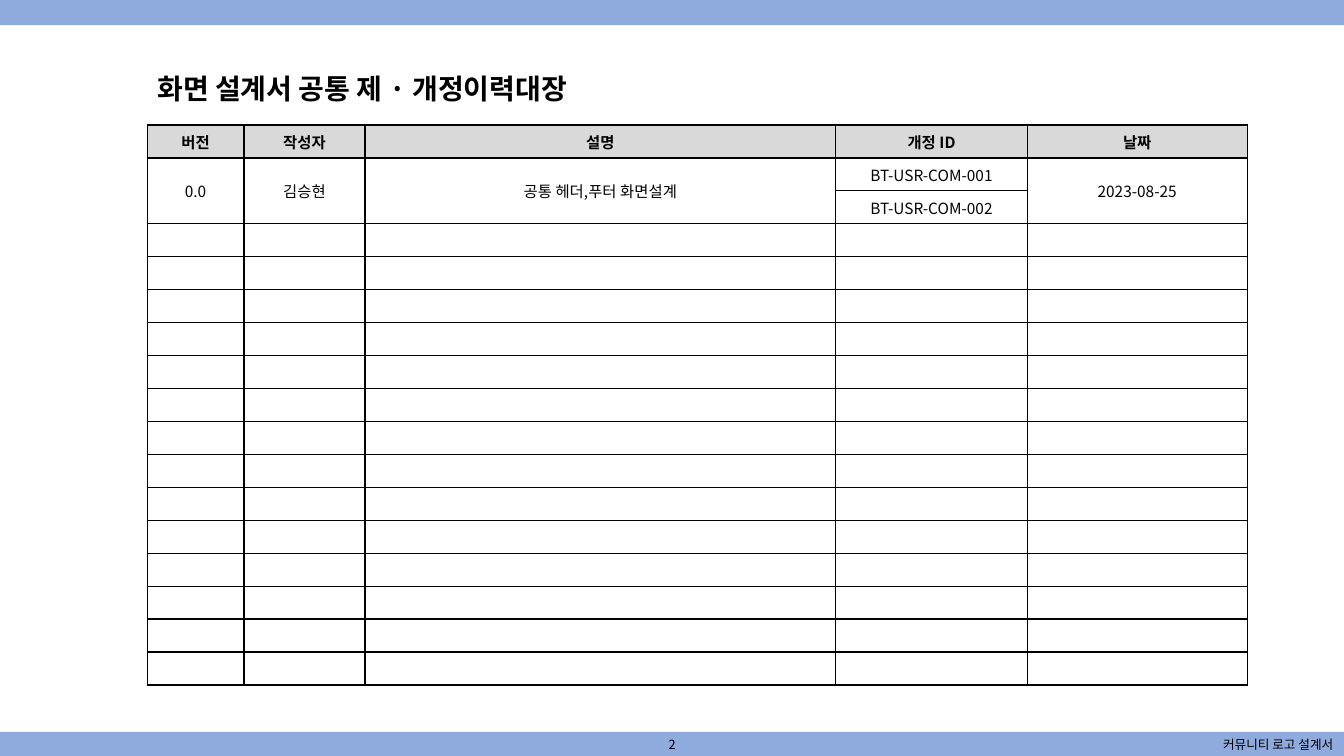
from lxml import etree
from pptx import Presentation
from pptx import util as u
from pptx.dml.color import RGBColor
from pptx.enum import shapes, text
from pptx.oxml import ns

FONT = "Noto Sans CJK KR"
BLACK, BLUE, GREY, WHITE = "000000", "8FAADC", "D9D9D9", "FFFFFF"
WIDTH, HEIGHT, BAR = 13.33, 7.5, 0.25
ALIGN = text.PP_ALIGN
COLS = [0.96, 1.2, 4.67, 1.9, 2.18]
ROWS = 17
HEAD = ["버전", "작성자", "설명", "개정 ID", "날짜"]
FIRST = ["0.0", "김승현", "공통 헤더,푸터 화면설계", "BT-USR-COM-001", "2023-08-25"]
SECOND = ["", "", "", "BT-USR-COM-002", ""]


def paint(fill, color):
    """Give a fill one solid colour."""
    fill.solid()
    fill.fore_color.rgb = RGBColor.from_string(color)


def write(frame, words, size, align, bold=False):
    """Add one formatted run to the first paragraph of a frame."""
    para = frame.paragraphs[0]
    para.alignment = align
    run = para.add_run()
    run.text = words
    run.font.name = FONT
    run.font.size = u.Pt(size)
    run.font.bold = bold
    paint(run.font.fill, BLACK)
    latin = run.font._element.find(ns.qn("a:latin"))
    asian = etree.Element(ns.qn("a:ea"), typeface=FONT)
    latin.addnext(asian)


def bar(slide, top):
    """Draw a full-width band."""
    band = slide.shapes.add_shape(
        shapes.MSO_SHAPE.RECTANGLE, 0, u.Inches(top), u.Inches(WIDTH), u.Inches(BAR))
    band.shadow.inherit = False
    paint(band.fill, BLUE)
    band.line.fill.background()


def note(slide, left, top, width, words, align):
    """Place a small text in the footer band."""
    box = slide.shapes.add_textbox(
        u.Inches(left), u.Inches(top), u.Inches(width), u.Inches(0.24))
    frame = box.text_frame
    frame.word_wrap = True
    frame.vertical_anchor = text.MSO_ANCHOR.MIDDLE
    write(frame, words, 9, align)


def footer(slide, top):
    """Draw the bottom band with page number and document name."""
    bar(slide, top)
    note(slide, 8.82, top + 0.01, 4.5, "커뮤니티 로고 설계서", ALIGN.RIGHT)
    note(slide, 5.67, top + 0.01, 1.99, "2", ALIGN.CENTER)


def title(slide, left, top, width, height):
    """Place the slide title."""
    head = slide.shapes.title
    head.left, head.top = u.Inches(left), u.Inches(top)
    head.width, head.height = u.Inches(width), u.Inches(height)
    frame = head.text_frame
    frame.auto_size = text.MSO_AUTO_SIZE.NONE
    frame.vertical_anchor = text.MSO_ANCHOR.MIDDLE
    write(frame, "화면 설계서 공통 제 · 개정이력대장", 20, ALIGN.LEFT, True)


def edge(cell):
    """Put a thin black border on each side of a cell."""
    props = cell._tc.get_or_add_tcPr()
    for place, side in enumerate(["lnL", "lnR", "lnT", "lnB"]):
        line = etree.Element(ns.qn("a:" + side), w=str(u.Pt(1)))
        solid = etree.SubElement(line, ns.qn("a:solidFill"))
        etree.SubElement(solid, ns.qn("a:srgbClr"), val=BLACK)
        props.insert(place, line)


def history(slide, left, top, width, height):
    """Build the revision table."""
    grid = slide.shapes.add_table(
        ROWS, len(COLS), u.Inches(left), u.Inches(top),
        u.Inches(width), u.Inches(height)).table
    for col, wide in zip(grid.columns, COLS):
        col.width = u.Inches(wide)
    for row in grid.rows:
        row.height = u.Inches(height / ROWS)
    data = [HEAD, FIRST, SECOND] + [[""] * len(COLS)] * (ROWS - 3)
    for r, line in enumerate(data):
        for c, words in enumerate(line):
            cell = grid.cell(r, c)
            cell.margin_top = cell.margin_bottom = u.Inches(0.03)
            cell.vertical_anchor = text.MSO_ANCHOR.MIDDLE
            paint(cell.fill, WHITE if r else GREY)
            edge(cell)
            if words:
                write(cell.text_frame, words, 11, ALIGN.CENTER, r == 0)
            else:
                para = cell.text_frame.paragraphs[0]._p
                etree.SubElement(para, ns.qn("a:endParaRPr"), sz="1100")
    for c in (0, 1, 2, 4):
        grid.cell(1, c).merge(grid.cell(2, c))


def main():
    """Build and save the slide."""
    deck = Presentation()
    deck.slide_width, deck.slide_height = u.Inches(WIDTH), u.Inches(HEIGHT)
    slide = deck.slides.add_slide(deck.slide_layouts[5])
    bar(slide, 0)
    footer(slide, 7.26)
    history(slide, 1.46, 1.24, sum(COLS), 5.56)
    title(slide, 1.46, 0.66, 5.18, 0.44)
    deck.save("out.pptx")


if __name__ == "__main__":
    main()
